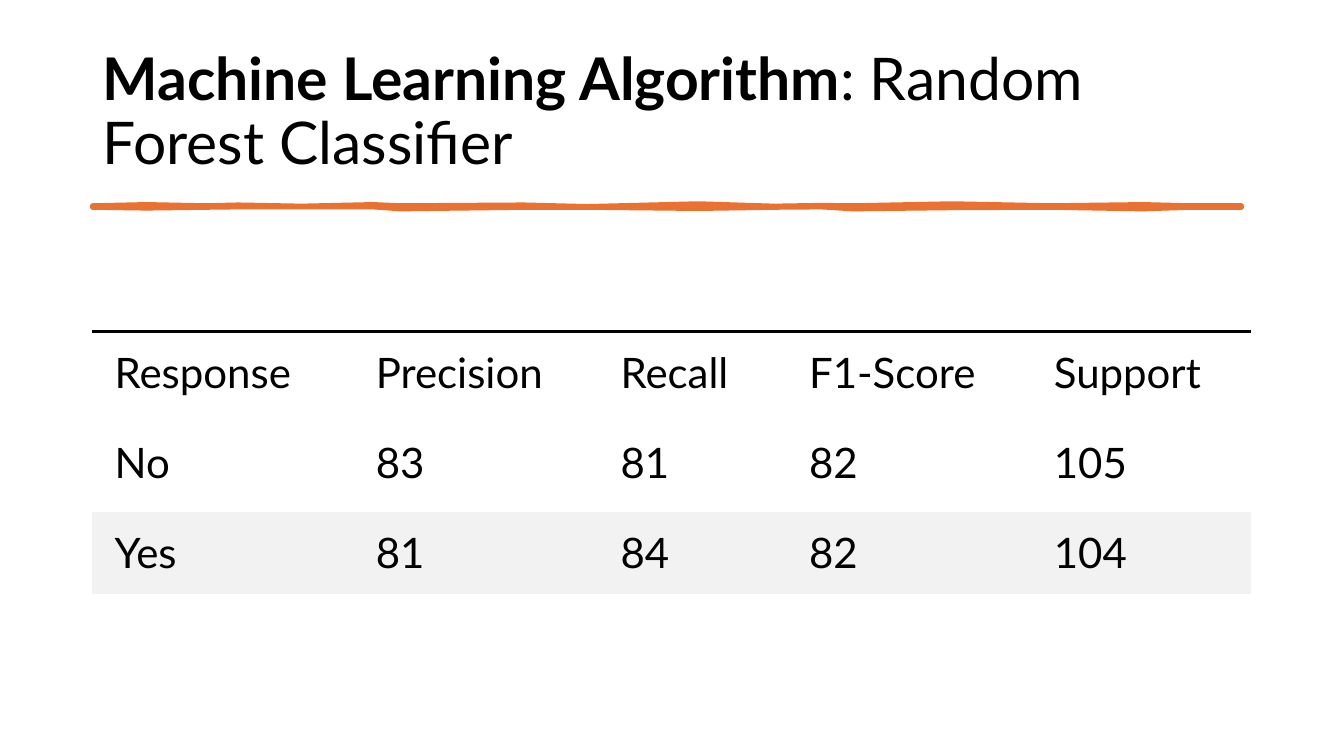
from dataclasses import dataclass

from lxml.etree import SubElement
from pptx import Presentation
from pptx.dml.color import RGBColor
from pptx.enum.text import MSO_ANCHOR, MSO_AUTO_SIZE, PP_ALIGN
from pptx.oxml.ns import qn
from pptx.util import Cm, Pt

# Content
TITLE_RUNS = [("Machine Learning Algorithm", True), (": Random Forest Classifier", False)]
SCORES = [
    ("Response", "Precision", "Recall", "F1-Score", "Support"),
    ("No", "83", "81", "82", "105"),
    ("Yes", "81", "84", "82", "104"),
]
COLUMN_WIDTHS = [6.58, 6.17, 4.75, 6.17, 5.52]
ROW_HEIGHTS = [2.27, 2.27, 2.07]
# Brush stroke profile: x, upper edge, lower edge (cm)
BRUSH_PROFILE = [
    (2.33, 5.18, 5.23), (3.7, 5.15, 5.25), (5.2, 5.18, 5.23),
    (6.0, 5.16, 5.22), (7.6, 5.19, 5.22), (9.4, 5.15, 5.22),
    (10.1, 5.18, 5.27), (13.2, 5.16, 5.23), (14.8, 5.2, 5.23),
    (17.6, 5.13, 5.26), (19.5, 5.19, 5.23), (20.7, 5.17, 5.22),
    (21.5, 5.18, 5.27), (24.0, 5.13, 5.24), (26.5, 5.18, 5.23),
    (28.8, 5.15, 5.27), (30.0, 5.18, 5.23), (31.29, 5.18, 5.23),
]
LEFT, CONTENT_WIDTH = 2.33, 29.21
NO_STYLE_NO_GRID = "{2D5ABB26-0587-4C30-8999-92F81FD0307C}"


@dataclass(frozen=True)
class Theme:
    font: str = "Lato"
    text: RGBColor = RGBColor(0, 0, 0)
    accent: RGBColor = RGBColor(0xE9, 0x71, 0x32)
    band: RGBColor = RGBColor(0xF2, 0xF2, 0xF2)
    title_size: Pt = Pt(42)
    table_size: Pt = Pt(30)
    brush_width: Pt = Pt(3.25)
    rule_width: Pt = Pt(2.25)


THEME = Theme()


def format_paragraph(paragraph, size):
    paragraph.font.name = THEME.font
    paragraph.font.size = size
    paragraph.font.color.rgb = THEME.text
    paragraph.alignment = PP_ALIGN.LEFT


# Title
def add_title(slide):
    title = slide.shapes.title
    title.left, title.top = Cm(LEFT), Cm(1.02)
    title.width, title.height = Cm(CONTENT_WIDTH), Cm(3.68)
    frame = title.text_frame
    frame.word_wrap = True
    frame.auto_size = MSO_AUTO_SIZE.NONE
    frame.vertical_anchor = MSO_ANCHOR.MIDDLE
    paragraph = frame.paragraphs[0]
    format_paragraph(paragraph, THEME.title_size)
    paragraph.line_spacing = 0.9
    for text, bold in TITLE_RUNS:
        run = paragraph.add_run()
        run.text = text
        run.font.bold = bold


# Brush stroke under the title
def add_brush_stroke(slide):
    upper = [(Cm(x), Cm(top)) for x, top, _ in BRUSH_PROFILE]
    lower = [(Cm(x), Cm(bottom)) for x, _, bottom in BRUSH_PROFILE]
    builder = slide.shapes.build_freeform(*upper[0])
    builder.add_line_segments(upper[1:] + lower[::-1], close=True)
    shape = builder.convert_to_shape()
    shape.shadow.inherit = False
    shape.fill.solid()
    shape.fill.fore_color.rgb = THEME.accent
    shape.line.color.rgb = THEME.accent
    shape.line.width = THEME.brush_width


# Score table
def add_top_border(cell):
    properties = cell._tc.get_or_add_tcPr()
    border = SubElement(properties, qn("a:lnT"), w=str(THEME.rule_width))
    fill = SubElement(border, qn("a:solidFill"))
    SubElement(fill, qn("a:srgbClr"), val=str(THEME.text))


def add_score_table(slide):
    frame = slide.shapes.add_table(
        len(SCORES), len(COLUMN_WIDTHS), Cm(LEFT), Cm(8.36),
        Cm(sum(COLUMN_WIDTHS)), Cm(sum(ROW_HEIGHTS)))
    table = frame.table
    table.first_row = table.horz_banding = False
    table._tbl.tblPr.find(qn("a:tableStyleId")).text = NO_STYLE_NO_GRID
    for column, width in zip(table.columns, COLUMN_WIDTHS):
        column.width = Cm(width)
    for row, height in zip(table.rows, ROW_HEIGHTS):
        row.height = Cm(height)
    for row_index, values in enumerate(SCORES):
        for column_index, value in enumerate(values):
            cell = table.cell(row_index, column_index)
            cell.text = value
            cell.margin_left = cell.margin_right = Cm(0.56)
            cell.margin_top = cell.margin_bottom = Cm(0.38)
            format_paragraph(cell.text_frame.paragraphs[0], THEME.table_size)
            if row_index == 0:
                add_top_border(cell)
            if row_index == len(SCORES) - 1:
                cell.fill.solid()
                cell.fill.fore_color.rgb = THEME.band
            else:
                cell.fill.background()


def main():
    presentation = Presentation()
    presentation.slide_width, presentation.slide_height = Cm(33.87), Cm(19.05)
    slide = presentation.slides.add_slide(presentation.slide_layouts[5])
    add_title(slide)
    add_brush_stroke(slide)
    add_score_table(slide)
    presentation.save("out.pptx")


if __name__ == "__main__":
    main()
